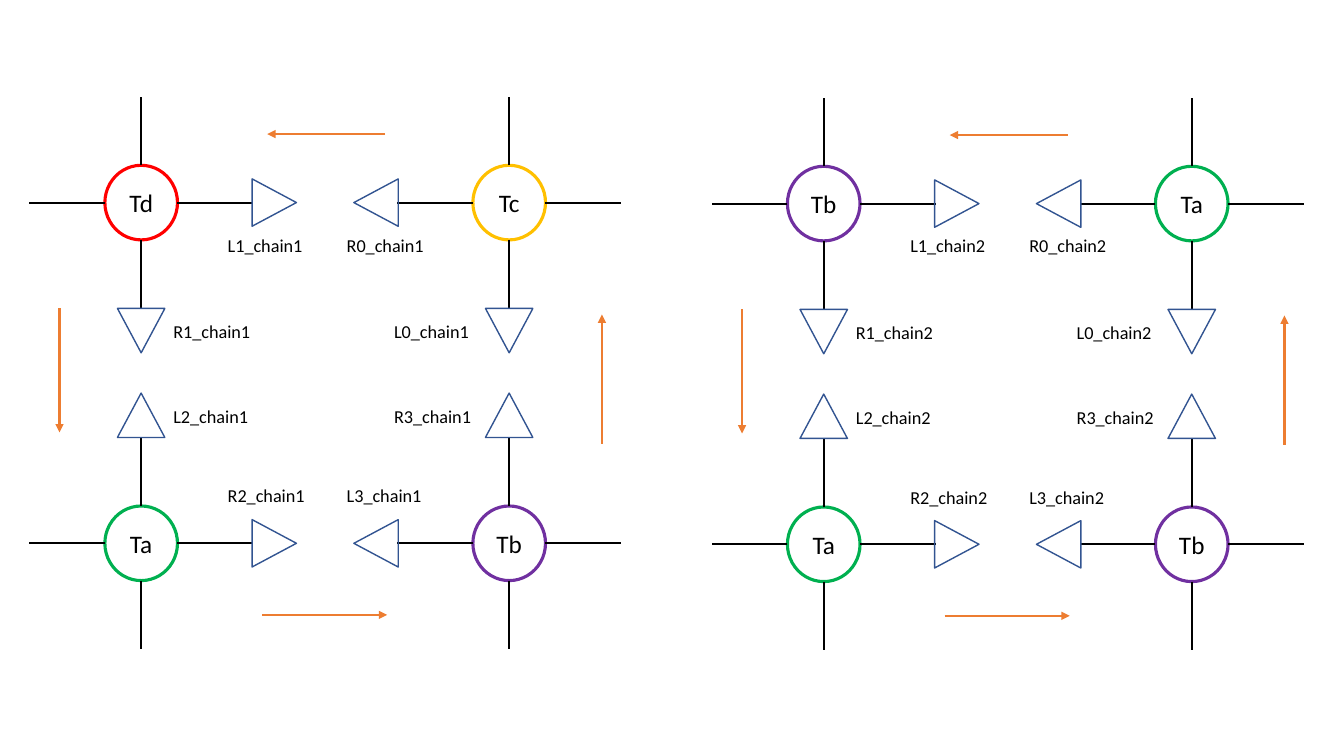
from lxml import etree
from pptx import Presentation
from pptx.dml.color import RGBColor
from pptx.enum.shapes import MSO_CONNECTOR, MSO_SHAPE
from pptx.enum.text import MSO_ANCHOR, MSO_AUTO_SIZE, PP_ALIGN
from pptx.oxml.ns import qn
from pptx.util import Inches, Pt

BLACK = RGBColor(0x00, 0x00, 0x00)
BLUE = RGBColor(0x32, 0x54, 0x91)
ORANGE = RGBColor(0xED, 0x7D, 0x31)
NODE_COLORS = {
    "Ta": RGBColor(0x00, 0xB0, 0x50),
    "Tb": RGBColor(0x70, 0x30, 0xA0),
    "Tc": RGBColor(0xFF, 0xC0, 0x00),
    "Td": RGBColor(0xFF, 0x00, 0x00),
}
FONT = "Calibri"

# Node grid of one ring, in inches
COLS, ROWS = (1.4, 5.05), (2.01, 5.39)
NODE_W, NODE_H = 0.72, 0.74
WIRE_X, WIRE_Y = 0.75, 0.68
TRI_W, TRI_H = 0.47, 0.44
TRI_DX, TRI_DY = 1.32, 1.27  # node centre to triangle centre

# Label corners by node column and row
LABEL_W, LABEL_H = 0.99, 0.32
ACROSS_X, ACROSS_Y = (2.16, 3.34), (2.27, 4.76)
DOWN_X, DOWN_Y = (1.62, 3.81), (3.13, 3.97)

# Labels of the horizontal and vertical triangle at each (column, row)
PORTS = {(0, 0): ("L1", "R1"), (1, 0): ("R0", "L0"),
         (0, 1): ("R2", "L2"), (1, 1): ("L3", "R3")}

# Counter-clockwise flow arrows
FLOWS = [(3.82, 1.33, 2.65, 1.33), (0.59, 3.06, 0.59, 4.29),
         (2.6, 6.1, 3.84, 6.1), (5.97, 4.4, 5.97, 3.12)]

# Ring offset, chain name and node names by (column, row)
RINGS = [
    (0, 0, "chain1", {(0, 0): "Td", (1, 0): "Tc", (0, 1): "Ta", (1, 1): "Tb"}),
    (6.77, 0.01, "chain2", {(0, 0): "Tb", (1, 0): "Ta", (0, 1): "Ta", (1, 1): "Tb"}),
]


def add_outline(slide, kind, cx, cy, w, h, color, width):
    s = slide.shapes.add_shape(kind, Inches(cx - w / 2), Inches(cy - h / 2),
                               Inches(w), Inches(h))
    s.shadow.inherit = False
    s.fill.background()
    s.line.color.rgb = color
    s.line.width = Pt(width)
    return s


def set_text(tf, text, size, align):
    tf.text = text
    p = tf.paragraphs[0]
    p.alignment = align
    font = p.runs[0].font
    font.name, font.size, font.color.rgb = FONT, Pt(size), BLACK


def add_node(slide, cx, cy, name):
    s = add_outline(slide, MSO_SHAPE.OVAL, cx, cy, NODE_W, NODE_H,
                    NODE_COLORS[name], 2.25)
    s.text_frame.vertical_anchor = MSO_ANCHOR.MIDDLE
    set_text(s.text_frame, name, 18, PP_ALIGN.CENTER)


def add_triangle(slide, cx, cy, rotation):
    s = add_outline(slide, MSO_SHAPE.ISOSCELES_TRIANGLE, cx, cy, TRI_W, TRI_H, BLUE, 1)
    s.rotation = rotation


def add_line(slide, x1, y1, x2, y2, color, arrow=False):
    c = slide.shapes.add_connector(MSO_CONNECTOR.STRAIGHT, Inches(x1), Inches(y1),
                                   Inches(x2), Inches(y2))
    c.line.color.rgb = color
    c.line.width = Pt(1.5)
    if arrow:
        etree.SubElement(c.line._get_or_add_ln(), qn("a:tailEnd"), type="triangle")
    etree.SubElement(c._element.spPr, qn("a:effectLst"))


def add_label(slide, x, y, text):
    tb = slide.shapes.add_textbox(Inches(x), Inches(y), Inches(LABEL_W), Inches(LABEL_H))
    tf = tb.text_frame
    tf.word_wrap = True
    tf.auto_size = MSO_AUTO_SIZE.SHAPE_TO_FIT_TEXT
    set_text(tf, text, 13, PP_ALIGN.LEFT)


def add_ring(slide, dx, dy, chain, names):
    for (col, row), name in names.items():
        cx, cy = dx + COLS[col], dy + ROWS[row]
        add_node(slide, cx, cy, name)

        # Four wires leave each node
        for side in (-1, 1):
            x, y = cx + side * NODE_W / 2, cy + side * NODE_H / 2
            add_line(slide, x, cy, x + side * WIRE_X, cy, BLACK)
            add_line(slide, cx, y, cx, y + side * WIRE_Y, BLACK)

        # The two inner wires end in triangles
        in_x, in_y = 1 - 2 * col, 1 - 2 * row
        add_triangle(slide, cx + in_x * TRI_DX, cy, 270 if col else 90)
        add_triangle(slide, cx, cy + in_y * TRI_DY, 0 if row else 180)

        across, down = PORTS[col, row]
        add_label(slide, dx + ACROSS_X[col], dy + ACROSS_Y[row], f"{across}_{chain}")
        add_label(slide, dx + DOWN_X[col], dy + DOWN_Y[row], f"{down}_{chain}")

    for x1, y1, x2, y2 in FLOWS:
        add_line(slide, dx + x1, dy + y1, dx + x2, dy + y2, ORANGE, arrow=True)


def main():
    prs = Presentation()
    prs.slide_width, prs.slide_height = Inches(13.33), Inches(7.5)
    slide = prs.slides.add_slide(prs.slide_layouts[6])
    for ring in RINGS:
        add_ring(slide, *ring)
    prs.save("out.pptx")


main()
